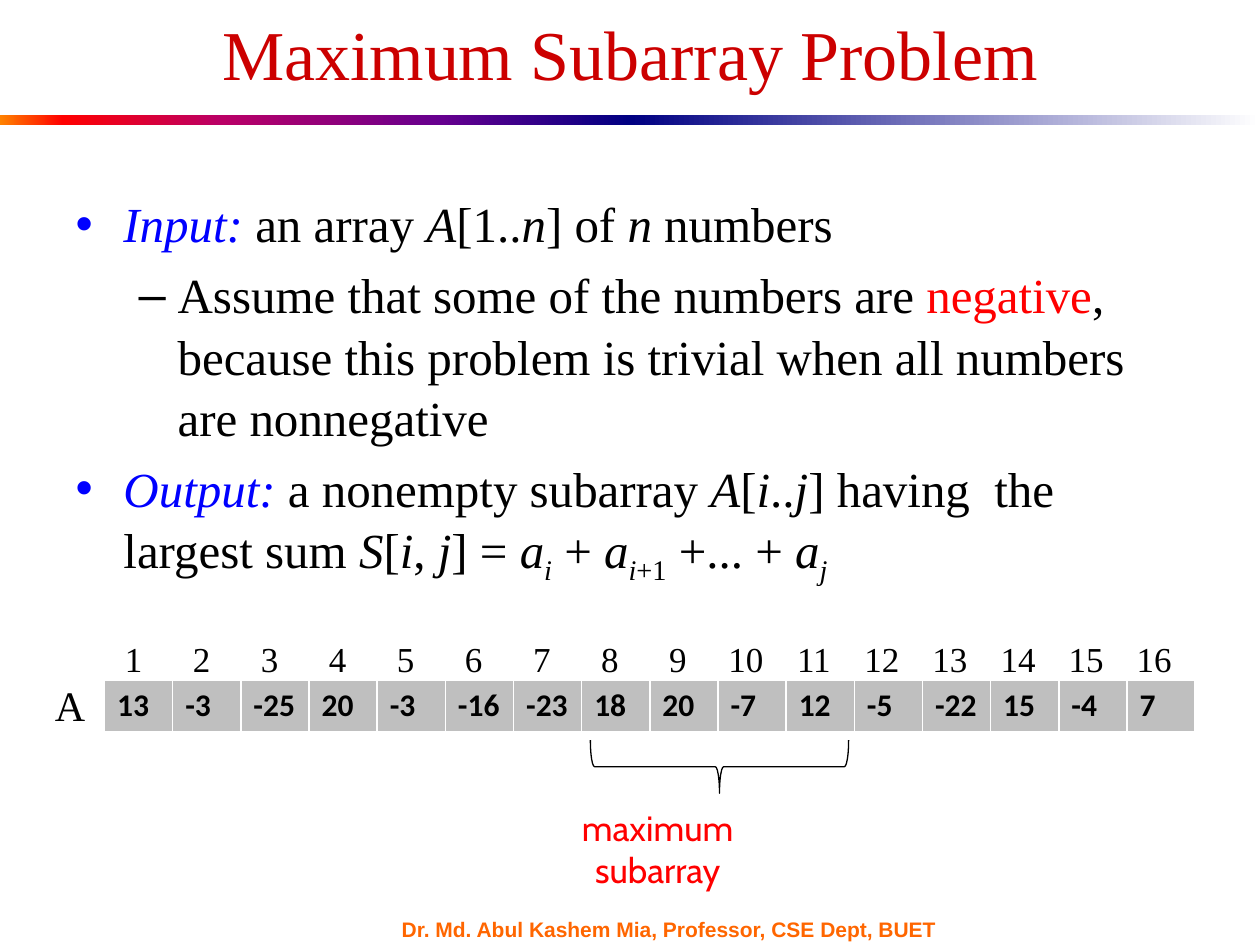
"""Build the Maximum Subarray Problem slide."""
from dataclasses import dataclass

from lxml import etree
from pptx import Presentation
from pptx import util as u
from pptx.dml.color import RGBColor
from pptx.enum import shapes, text
from pptx.oxml import ns

SERIF = "Times New Roman"
BLACK, RED, BLUE, NAVY = "000000", "FF0000", "0000FF", "000082"


@dataclass
class Run:
    text: str
    color: str = BLACK
    italic: bool = False
    sub: bool = False


@dataclass
class Item:
    bullet: str
    margin: float
    hanging: float
    level: int
    runs: list[Run]


@dataclass
class Label:
    text: str
    box: tuple[float, float, float, float]
    size: float
    color: str = BLACK
    font: str = SERIF
    bold: bool = False
    align: text.PP_ALIGN = text.PP_ALIGN.CENTER


def it(value: str, color: str = BLACK) -> Run:
    return Run(value, color, italic=True)


def sub(value: str, italic: bool = True) -> Run:
    return Run(value, italic=italic, sub=True)


def rgb(value: str) -> RGBColor:
    return RGBColor.from_string(value)


def inches(box: tuple) -> list:
    return [u.Inches(v) for v in box]


def place(shape, box: tuple) -> None:
    shape.left, shape.top, shape.width, shape.height = inches(box)


def add_run(p, value: str, size: float, color: str = BLACK, font: str = SERIF,
            bold: bool = False, italic: bool = False):
    r = p.add_run()
    r.text = value
    r.font.size, r.font.name = u.Pt(size), font
    r.font.bold, r.font.italic = bold, italic
    r.font.color.rgb = rgb(color)
    return r


def add_label(s, label: Label):
    tf = s.shapes.add_textbox(*inches(label.box)).text_frame
    tf.word_wrap = True
    p = tf.paragraphs[0]
    p.alignment = label.align
    add_run(p, label.text, label.size, label.color, label.font, label.bold)
    return tf


def add_gradient_bar(s, box: tuple, stops: dict[int, str]) -> None:
    sp = s.shapes.add_shape(shapes.MSO_SHAPE.RECTANGLE, *inches(box))
    sp.shadow.inherit = False
    sp.line.fill.background()
    grad = etree.Element(ns.qn("a:gradFill"), rotWithShape="1")
    stop_list = etree.SubElement(grad, ns.qn("a:gsLst"))
    for percent, color in stops.items():
        stop = etree.SubElement(stop_list, ns.qn("a:gs"), pos=str(percent * 1000))
        etree.SubElement(stop, ns.qn("a:srgbClr"), val=color)
    etree.SubElement(grad, ns.qn("a:lin"), ang="0", scaled="1")
    sp.element.spPr.find(ns.qn("a:prstGeom")).addnext(grad)


def add_item(p, item: Item) -> None:
    p.level = item.level
    p.space_before, p.line_spacing = u.Pt(5.6), 1.04
    pPr = p._p.get_or_add_pPr()
    pPr.set("marL", str(u.Inches(item.margin)))
    pPr.set("indent", str(-u.Inches(item.hanging)))
    etree.SubElement(pPr, ns.qn("a:buChar"), char=item.bullet)
    for run in item.runs:
        r = add_run(p, run.text, 28, run.color, italic=run.italic)
        if run.sub:
            r.font._element.set("baseline", "-25000")


def add_indices(s, count: int, first: float, pitch: float) -> None:
    tf = add_label(s, Label("".join(f"\t{i + 1}" for i in range(count)),
                            (0.83, 5.01, 8.66, 0.44), 20, align=text.PP_ALIGN.LEFT))
    tf.margin_left = tf.margin_right = 0
    tabs = etree.SubElement(tf.paragraphs[0]._p.get_or_add_pPr(), ns.qn("a:tabLst"))
    for i in range(count):
        etree.SubElement(tabs, ns.qn("a:tab"), algn="ctr",
                         pos=str(u.Inches(first + pitch * i)))


def add_array(s, values: list[int]) -> None:
    table = s.shapes.add_table(1, len(values), *inches((0.83, 5.4, 8.66, 0.41))).table
    for cell, value in zip(table.iter_cells(), values):
        cell.fill.solid()
        cell.fill.fore_color.rgb = rgb("BFBFBF")
        add_run(cell.text_frame.paragraphs[0], str(value), 18, font="Calibri", bold=True)


def add_brace(s, box: tuple) -> None:
    sp = s.shapes.add_shape(shapes.MSO_SHAPE.RIGHT_BRACE, *inches(box))
    sp.rotation = 90
    sp.adjustments[0], sp.adjustments[1] = 0.08, 0.5
    sp.shadow.inherit = False
    sp.fill.background()
    sp.line.color.rgb, sp.line.width = rgb(BLACK), u.Pt(0.75)


ARRAY = [13, -3, -25, 20, -3, -16, -23, 18, 20, -7, 12, -5, -22, 15, -4, 7]
ITEMS = [
    Item("•", 0.38, 0.38, 0, [
        it("Input: ", BLUE), Run("an array "), it("A"), Run("[1.."), it("n"),
        Run("] of "), it("n"), Run(" numbers")]),
    Item("–", 0.81, 0.31, 1, [
        Run("Assume that some of the numbers are "), Run("negative", RED),
        Run(", because this problem is trivial when all numbers are nonnegative")]),
    Item("•", 0.38, 0.38, 0, [
        it("Output: ", BLUE), Run("a nonempty subarray "), it("A"), Run("["), it("i"),
        Run(".."), it("j"), Run("] having  the largest sum "), it("S"), Run("["),
        it("i"), Run(", "), it("j"), Run("] = "), it("a"), sub("i"), Run(" + "),
        it("a"), sub("i"), sub("+1", False), Run(" +... + "), it("a"), sub("j")]),
]
LABELS = [
    Label("A", (0.33, 5.34, 0.45, 0.5), 24),
    Label("maximum subarray", (4.47, 6.35, 1.5, 0.78), 20, RED, "Cabin"),
]
FOOTER = Label("Dr. Md. Abul Kashem Mia, Professor, CSE Dept, BUET",
               (3.09, 7.28, 4.67, 0.18), 12, "FF6600", "Arial", True, text.PP_ALIGN.LEFT)


def main() -> None:
    prs = Presentation()
    prs.slide_width, prs.slide_height = u.Inches(10), u.Inches(7.5)
    s = prs.slides.add_slide(prs.slide_layouts[1])

    title, body = s.shapes.title, s.placeholders[1]
    place(title, (0.75, 0, 8.5, 0.83))
    p = title.text_frame.paragraphs[0]
    p.alignment = text.PP_ALIGN.CENTER
    add_run(p, "Maximum Subarray Problem", 40, "CC0000")

    place(body, (0.5, 1.47, 9, 3.4))
    tf = body.text_frame
    tf.auto_size = text.MSO_AUTO_SIZE.NONE
    for i, item in enumerate(ITEMS):
        add_item(tf.add_paragraph() if i else tf.paragraphs[0], item)

    add_gradient_bar(s, (0, 0.91, 5, 0.08),
                     {0: "FF8200", 10: RED, 35: "BA0066", 70: "66008F", 100: NAVY})
    add_gradient_bar(s, (5, 0.91, 5, 0.08), {0: NAVY, 100: "FFFFFF"})
    add_array(s, ARRAY)
    add_indices(s, len(ARRAY), 0.23, 0.54)
    for label in LABELS:
        add_label(s, label)
    add_brace(s, (5.5, 5.06, 0.42, 2.05))
    add_label(s, FOOTER).vertical_anchor = text.MSO_ANCHOR.MIDDLE
    prs.save("out.pptx")


if __name__ == "__main__":
    main()
